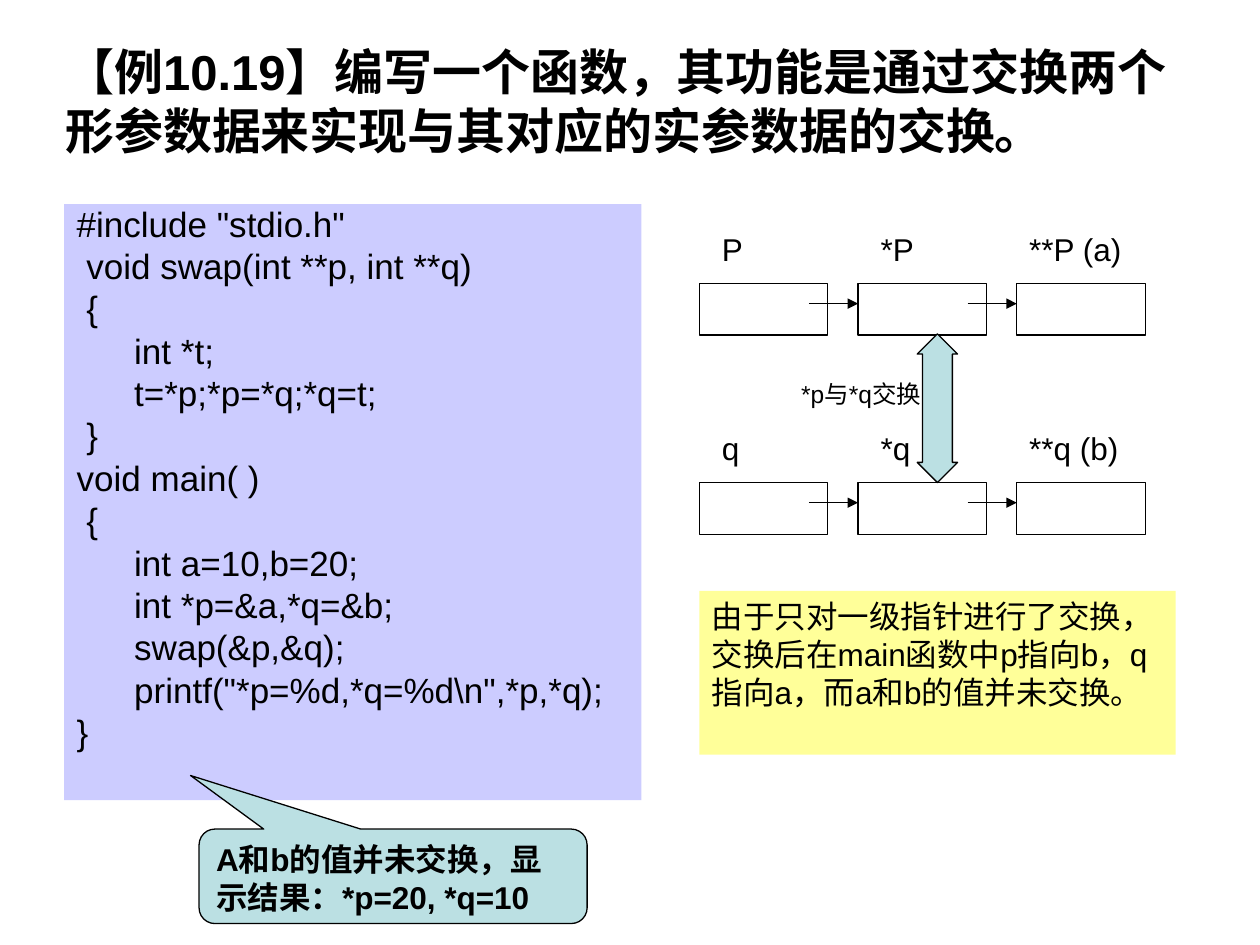
"""Builds the slide on swapping arguments through pointers to pointers."""
from lxml.etree import SubElement
from pptx import Presentation
from pptx.dml.color import RGBColor
from pptx.enum.shapes import MSO_CONNECTOR as Connector, MSO_SHAPE as Shape
from pptx.enum.text import MSO_ANCHOR as Anchor, PP_ALIGN as Align
from pptx.oxml.ns import qn
from pptx.util import Inches, Pt

COLORS = {"ink": "000000", "code": "CCCCFF", "accent": "BBE0E3", "note": "FFFF99"}
CODE = r"""#include "stdio.h"
 void swap(int **p, int **q)
 {
{tab} int *t;
{tab} t=*p;*p=*q;*q=t;
 }
void main( )
 {
{tab} int a=10,b=20;
{tab} int *p=&a,*q=&b;
{tab} swap(&p,&q);
{tab} printf("*p=%d,*q=%d\n",*p,*q);
}""".replace("{tab}", "\t")


def add_block(kind, box, fill=None, outlined=True):
    block = slide.shapes.add_shape(kind, *map(Inches, box))
    block.shadow.inherit = False
    if fill:
        block.fill.solid()
        block.fill.fore_color.rgb = RGBColor.from_string(COLORS[fill])
    else:
        block.fill.background()
    if outlined:
        block.line.color.rgb = RGBColor.from_string(COLORS["ink"])
        block.line.width = Pt(0.75)
    else:
        block.line.fill.background()
    return block


def write(holder, text, size, bold=False, anchor=Anchor.TOP):
    frame = holder.text_frame
    frame.word_wrap = True
    frame.vertical_anchor = anchor
    for number, line in enumerate(text.split("\n")):
        paragraph = frame.add_paragraph() if number else frame.paragraphs[0]
        paragraph.alignment = Align.LEFT
        run = paragraph.add_run()
        run.text = line
        for name, value in {"name": "Arial", "size": Pt(size), "bold": bold}.items():
            setattr(run.font, name, value)
        run.font.color.rgb = RGBColor.from_string(COLORS["ink"])
    return frame.paragraphs


deck = Presentation()
deck.slide_width, deck.slide_height = Inches(10), Inches(7.5)
slide = deck.slides.add_slide(deck.slide_layouts[6])

heading = slide.shapes.add_textbox(*map(Inches, (0.42, 0.17, 9, 1.25)))
write(heading, "【例10.19】编写一个函数，其功能是通过交换两个形参数据来实现与其对应的实参数据的交换。",
      28, bold=True, anchor=Anchor.MIDDLE)

listing = add_block(Shape.RECTANGLE, (0.51, 1.62, 4.58, 4.73), "code", outlined=False)
for number, line in enumerate(write(listing, CODE, 20)):
    line.line_spacing = 0.8
    line.space_before = Pt(5 if number else 0)
    indents = line._p.get_or_add_pPr()
    indents.set("marL", str(Inches(0.38)))
    indents.set("indent", str(Inches(-0.38)))

result = add_block(Shape.ROUNDED_RECTANGULAR_CALLOUT, (1.58, 6.58, 3.08, 0.75), "accent")
for number, value in enumerate((-0.522, -1.067, 0.167)):
    result.adjustments[number] = value
write(result, "A和b的值并未交换，显示结果：*p=20, *q=10", 18, bold=True)

cell_lefts = [5.55 + 1.26 * column for column in range(3)]
label_places = [(5.63, 0.79), (6.89, 0.79), (8.07, 1.02)]
for top, labels in ((3.83, ("q", "*q", "**q (b)")), (2.25, ("P", "*P", "**P (a)"))):
    for cell_left, (label_left, width), label in zip(cell_lefts, label_places, labels):
        add_block(Shape.RECTANGLE, (cell_left, top, 1.02, 0.41))
        caption = slide.shapes.add_textbox(*map(Inches, (label_left, top - 0.47, width, 0.4)))
        write(caption, label, 18)
    for target in cell_lefts[1:]:
        ends = (target - 0.39, top + 0.16, target, top + 0.16)
        pointer = slide.shapes.add_connector(Connector.STRAIGHT, *map(Inches, ends))
        pointer.line.color.rgb = RGBColor.from_string(COLORS["ink"])
        pointer.line.width = Pt(0.75)
        SubElement(pointer.line._get_or_add_ln(), qn("a:tailEnd"), type="triangle")
        SubElement(pointer._element.spPr, qn("a:effectLst"))

swap_arrow = add_block(Shape.UP_DOWN_ARROW, (7.28, 2.65, 0.32, 1.18), "accent")
swap_arrow.adjustments[0], swap_arrow.adjustments[1] = 0.5, 0.744
swap_label = slide.shapes.add_textbox(*map(Inches, (6.26, 2.96, 1.26, 0.57)))
write(swap_label, "*p与*q交换", 14)

note = add_block(Shape.RECTANGLE, (5.55, 4.69, 3.78, 1.3), "note", outlined=False)
write(note, "由于只对一级指针进行了交换，交换后在main函数中p指向b，q指向a，而a和b的值并未交换。", 18)

deck.save("out.pptx")
